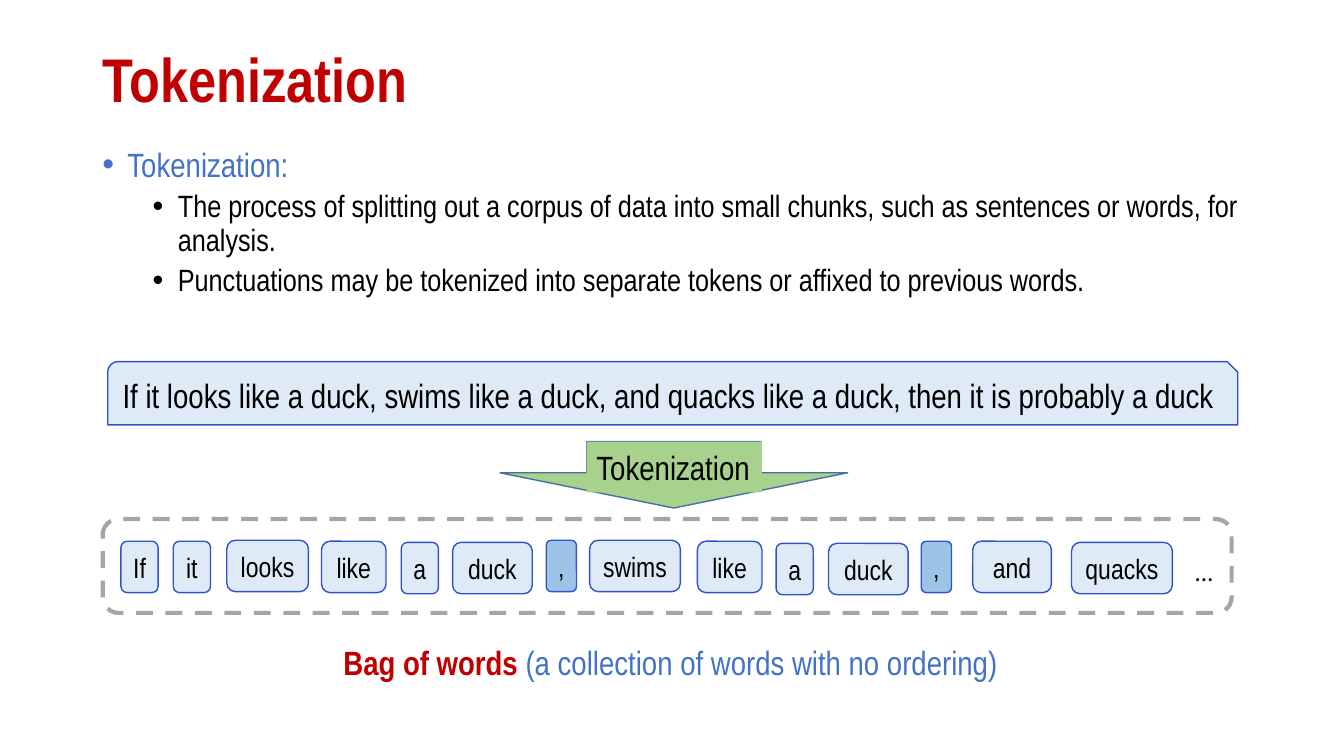
from dataclasses import dataclass

from lxml import etree
from pptx import Presentation
from pptx.dml.color import RGBColor
from pptx.enum.dml import MSO_LINE
from pptx.enum.shapes import MSO_SHAPE
from pptx.enum.text import MSO_ANCHOR, PP_ALIGN
from pptx.oxml.ns import qn
from pptx.util import Pt

ROUND, SNIP = MSO_SHAPE.ROUNDED_RECTANGLE, MSO_SHAPE.SNIP_ROUND_RECTANGLE
ARROW, RECT = MSO_SHAPE.DOWN_ARROW, MSO_SHAPE.RECTANGLE
TOP, MIDDLE = MSO_ANCHOR.TOP, MSO_ANCHOR.MIDDLE
LEFT, CENTER = PP_ALIGN.LEFT, PP_ALIGN.CENTER
DASH = MSO_LINE.DASH


@dataclass(frozen=True)
class Theme:
    font: str = "Arial Narrow"
    symbol_font: str = "Calibri"
    red: str = "C00000"
    blue: str = "4472C4"
    black: str = "000000"
    pale: str = "DEEBF7"
    comma: str = "9DC3E6"
    outline: str = "3054C8"
    green: str = "A9D18E"
    arrow_line: str = "43739E"
    gray: str = "A5A5A5"
    title: int = 44
    body: int = 24
    detail: int = 22
    token: int = 20
    symbol: int = 18


T = Theme()

DETAILS = [
    "The process of splitting out a corpus of data into small chunks, "
    "such as sentences or words, for analysis.",
    "Punctuations may be tokenized into separate tokens or affixed to previous words.",
]
SENTENCE = ("If it looks like a duck, swims like a duck, and quacks like a duck, "
            "then it is probably a duck ")
WORD_WIDTHS = {"If": 26.6, "it": 26.6, "looks": 58.3, "like": 46.1, "a": 26.6, "duck": 56.9,
               ",": 21.6, "swims": 64.8, "and": 56.2, "quacks": 72}
# Word, left and top within the bag
TOKENS = [("If", 13, 15.8), ("it", 50.4, 15.8), ("looks", 88.6, 15.1), ("like", 156.3, 15.8),
          ("a", 213.2, 16.6), ("duck", 249.9, 16.6), (",", 316.8, 15.1), ("swims", 347.8, 15.1),
          ("like", 424.8, 15.8), ("a", 481, 17.3), ("duck", 518.4, 17.3), (",", 584.7, 15.8),
          ("and", 621.4, 15.8), ("quacks", 692, 16.6)]


def style(p, size, color, align=LEFT, bold=False, font=T.font):
    p.alignment = align
    p.font.name, p.font.size, p.font.bold = font, Pt(size), bold
    p.font.color.rgb = RGBColor.from_string(color)


def add_box(s, x, y, w, h, anchor=TOP):
    tf = s.shapes.add_textbox(Pt(x), Pt(y), Pt(w), Pt(h)).text_frame
    tf.word_wrap = True
    tf.vertical_anchor = anchor
    return tf


def add_shape(s, kind, x, y, w, h, fill=None, line=None, weight=1):
    sp = s.shapes.add_shape(kind, Pt(x), Pt(y), Pt(w), Pt(h))
    sp.shadow.inherit = False
    if fill:
        sp.fill.solid()
        sp.fill.fore_color.rgb = RGBColor.from_string(fill)
    else:
        sp.fill.background()
    if line:
        sp.line.color.rgb = RGBColor.from_string(line)
        sp.line.width = Pt(weight)
    else:
        sp.line.fill.background()
    return sp


def label(sp, text, size, align=CENTER):
    tf = sp.text_frame
    tf.word_wrap = True
    tf.vertical_anchor = MIDDLE
    tf.text = text
    style(tf.paragraphs[0], size, T.black, align)


def add_bullet(p, margin):
    pPr = p._p.get_or_add_pPr()
    pPr.set("marL", str(Pt(margin)))
    pPr.set("indent", str(Pt(-18)))
    font = etree.Element(qn("a:buFont"), typeface="Arial")
    char = etree.Element(qn("a:buChar"), char="•")
    at = pPr.index(pPr.find(qn("a:defRPr")))
    pPr[at:at] = [font, char]


def title(s, x, y, w, h):
    p = add_box(s, x, y, w, h, MIDDLE).paragraphs[0]
    p.text = "Tokenization"
    p.line_spacing = 0.9
    style(p, T.title, T.red, bold=True)


def definition(s, x, y, w, h):
    tf = add_box(s, x, y, w, h)
    rows = [("Tokenization:", 0, T.body, T.blue)]
    rows += [(text, 1, T.detail, T.black) for text in DETAILS]
    for i, (text, level, size, color) in enumerate(rows):
        p = tf.add_paragraph() if i else tf.paragraphs[0]
        p.text, p.level = text, level
        p.line_spacing, p.space_before = 0.9, Pt(5 if level else 10)
        style(p, size, color)
        add_bullet(p, 18 + 36 * level)


def sentence(s, x, y, w, h):
    label(add_shape(s, SNIP, x, y, w, h, T.pale, T.outline), SENTENCE, T.body)


def arrow(s, x, y, w, h):
    sp = add_shape(s, ARROW, x, y, w, h, T.green, T.arrow_line)
    sp.adjustments[0], sp.adjustments[1] = 0.5, 0.53
    # Label over the shaft
    tag = add_shape(s, RECT, x + 61.9, y, 125.3, 36.4, T.green)
    tag.text_frame.margin_right = 0
    label(tag, "Tokenization", T.body, LEFT)


def bag(s, x, y, w, h):
    frame = add_shape(s, ROUND, x, y, w, h, line=T.gray, weight=3)
    frame.line.dash_style = DASH
    for word, dx, dy in TOKENS:
        fill = T.comma if word == "," else T.pale
        sp = add_shape(s, ROUND, x + dx, y + dy, WORD_WIDTHS[word], 36.7, fill, T.outline)
        label(sp, word, T.token)
    # Remaining tokens
    p = add_box(s, x + 773.3, y + 23, 27.4, 29).paragraphs[0]
    p.text = "…"
    style(p, T.symbol, T.black, font=T.symbol_font)


def caption(s, x, y, w, h):
    p = add_box(s, x, y, w, h).paragraphs[0]
    p.line_spacing, p.space_before = 0.9, Pt(10)
    style(p, T.body, T.blue, CENTER)
    r = p.add_run()
    r.text = "Bag of words "
    r.font.bold = True
    r.font.color.rgb = RGBColor.from_string(T.red)
    p.add_run().text = "(a collection of words with no ordering)"


def main():
    prs = Presentation()
    prs.slide_width, prs.slide_height = Pt(960), Pt(540)
    s = prs.slides.add_slide(prs.slide_layouts[6])
    title(s, 66, 28.8, 828, 59.8)
    definition(s, 66, 102.2, 828, 118)
    sentence(s, 77, 258.3, 807.2, 45.2)
    arrow(s, 357.1, 315.4, 248.4, 47.5)
    bag(s, 73.4, 370.8, 806.4, 67)
    caption(s, 198.7, 457.9, 560.2, 42.5)
    prs.save("out.pptx")


if __name__ == "__main__":
    main()
